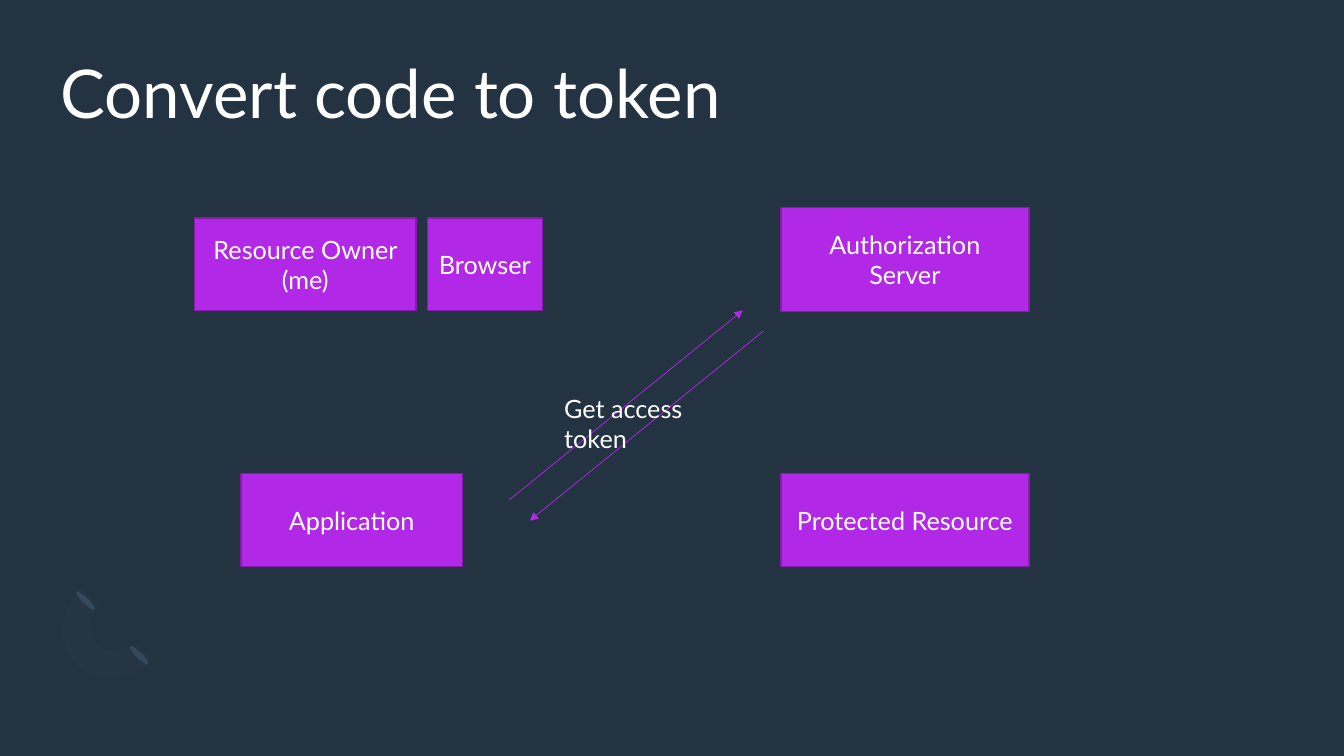
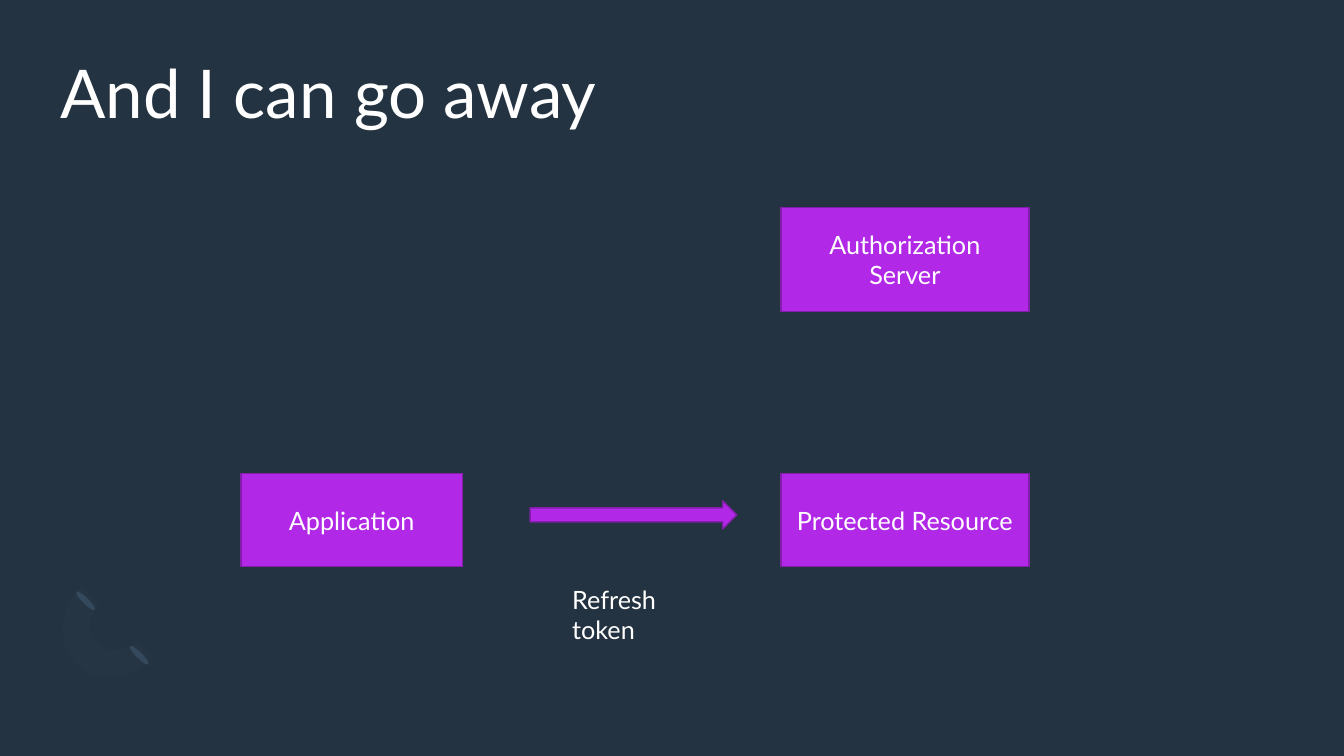
from dataclasses import dataclass

from lxml import etree
from pptx import Presentation
from pptx import util as u
from pptx.dml.color import RGBColor
from pptx.enum import shapes, text
from pptx.oxml.ns import qn

Cm, Pt = u.Cm, u.Pt


@dataclass(frozen=True)
class Theme:
    font: str = "Lato"
    title_size: int = 48
    body_size: int = 18
    back: str = "243341"
    ink: str = "FFFFFF"
    accent: str = "B129E7"
    edge: str = "831EAB"
    petal: str = "33485B"
    ring: str = "7B9AB6"
    ring_alpha: int = 2  # percent


THEME = Theme()
SHAPE = shapes.MSO_SHAPE
TITLE_BOX = (1.52, 1.52, 30.81, 3.71)

# The parties of the flow: label and box in cm
APPLICATION = ("Application", (6.07, 11.94, 5.59, 2.34))
OWNER = ("Resource Owner (me)", (4.9, 5.49, 5.59, 2.34))
AUTH_SERVER = ("Authorization Server", (19.68, 5.23, 6.25, 2.62))
RESOURCE = ("Protected Resource", (19.68, 11.94, 6.25, 2.34))
BROWSER = ("Browser", (10.77, 5.49, 2.9, 2.34))


def lengths(*values):
    return [Cm(value) for value in values]


def colour(value):
    return RGBColor.from_string(value)


def write(frame, words, size, align=text.PP_ALIGN.LEFT):
    frame.text = words
    frame.word_wrap = True
    frame.auto_size = text.MSO_AUTO_SIZE.NONE
    para = frame.paragraphs[0]
    para.alignment = align
    for span in para.runs:
        span.font.name = THEME.font
        span.font.size = Pt(size)
        span.font.color.rgb = colour(THEME.ink)
    return para


def paint(shape, fill, edge=None):
    shape.shadow.inherit = False
    shape.fill.solid()
    shape.fill.fore_color.rgb = colour(fill)
    if edge:
        shape.line.color.rgb = colour(edge)
        shape.line.width = Pt(1)
    else:
        shape.line.fill.background()


# Shared corner ornament and background
def curve(start, first, second, end, steps=12):
    for step in range(1, steps + 1):
        t = step / steps
        weights = ((1 - t) ** 3, 3 * t * (1 - t) ** 2, 3 * t * t * (1 - t), t ** 3)
        yield tuple(
            Cm(sum(w * point[axis] for w, point in zip(weights, (start, first, second, end))))
            for axis in (0, 1))


def add_ornament(page, left, top):
    group = page.shapes.add_group_shape()
    for x, y in ((left + 2.01, top + 1.4), (left + 0.66, top + 0.03)):
        petal = group.shapes.add_shape(SHAPE.OVAL, *lengths(x, y, 0.15, 0.66))
        petal.rotation = 135
        paint(petal, THEME.petal)

    # Half ring: each entry is the end of a line or the three points of a curve
    start = (0.51, 1.96)
    outline = (
        ((0, 1.45), (0.05, 0.59), (0.64, 0)),
        ((1.09, 0.46),),
        ((0.79, 0.74), (0.76, 1.2), (1.02, 1.43)),
        ((1.27, 1.68), (1.7, 1.65), (2.01, 1.37)),
        ((2.44, 1.83),),
        ((1.88, 2.39), (0.99, 2.47), start),
    )
    place = lambda point: (left + point[0], top + point[1])
    here = place(start)
    pen = group.shapes.build_freeform(*lengths(*here), scale=1.0)
    for piece in outline:
        points = [place(point) for point in piece]
        vertices = [lengths(*points[0])] if len(points) == 1 else curve(here, *points)
        pen.add_line_segments(list(vertices), close=False)
        here = points[-1]
    ring = pen.convert_to_shape()
    paint(ring, THEME.ring)
    tint = ring.element.spPr.find(qn("a:solidFill")).find(qn("a:srgbClr"))
    etree.SubElement(tint, qn("a:alpha")).set("val", str(THEME.ring_alpha * 1000))
    return group


def dress_master(deck, page):
    master = deck.slide_master
    master.background.fill.solid()
    master.background.fill.fore_color.rgb = colour(THEME.back)
    ornament = add_ornament(page, 1.42, 14.78).element
    for number, props in enumerate(ornament.iter(qn("p:cNvPr")), 100):
        props.set("id", str(number))
    master.shapes.element.append(ornament)


# Parts of the flow
def add_title(page, words, box):
    title = page.shapes.title
    title.left, title.top, title.width, title.height = lengths(*box)
    frame = title.text_frame
    frame.margin_left = frame.margin_right = frame.margin_top = frame.margin_bottom = 0
    frame.vertical_anchor = text.MSO_ANCHOR.TOP
    write(frame, words, THEME.title_size).line_spacing = 0.9


def add_parties(page, parties):
    group = page.shapes.add_group_shape()
    for name, box in parties:
        party = group.shapes.add_shape(SHAPE.RECTANGLE, *lengths(*box))
        paint(party, THEME.accent, THEME.edge)
        party.text_frame.vertical_anchor = text.MSO_ANCHOR.MIDDLE
        write(party.text_frame, name, THEME.body_size, text.PP_ALIGN.CENTER)


def add_label(page, words, box):
    label = page.shapes.add_textbox(*lengths(*box))
    write(label.text_frame, words, THEME.body_size)


def add_arrow_line(page, start, end):
    arrow = page.shapes.add_connector(
        shapes.MSO_CONNECTOR.STRAIGHT, *lengths(*start, *end))
    arrow.line.color.rgb = colour(THEME.accent)
    arrow.line.width = Pt(0.5)
    etree.SubElement(arrow.line._get_or_add_ln(), qn("a:tailEnd")).set("type", "triangle")
    etree.SubElement(arrow.element.spPr, qn("a:effectLst"))


def add_exchange(page, box, gap):
    """Draw a request rising across the box and the answer, moved by gap, coming back."""
    left, top, width, height = box
    add_arrow_line(page, (left, top + height), (left + width, top))
    add_arrow_line(page, (left + width + gap, top + gap), (left + gap, top + height + gap))


def add_block_arrow(page, box):
    arrow = page.shapes.add_shape(SHAPE.RIGHT_ARROW, *lengths(*box))
    paint(arrow, THEME.accent, THEME.edge)


# Slides
def add_flow_page(deck, title, parties):
    page = deck.slides.add_slide(deck.slide_layouts.get_by_name("Title Only"))
    add_title(page, title, TITLE_BOX)
    add_parties(page, parties)
    return page


def main():
    deck = Presentation()
    deck.slide_width, deck.slide_height = lengths(33.87, 19.05)

    convert = add_flow_page(deck, "Convert code to token",
                            (APPLICATION, OWNER, AUTH_SERVER, RESOURCE, BROWSER))
    dress_master(deck, convert)
    add_exchange(convert, (12.83, 7.82, 5.89, 4.78), 0.52)
    add_label(convert, "Get access token", (13.97, 9.78, 4.98, 1.02))

    refresh = add_flow_page(deck, "And I can go away",
                            (APPLICATION, AUTH_SERVER, RESOURCE))
    add_block_arrow(refresh, (13.36, 12.62, 5.21, 0.71))
    add_label(refresh, "Refresh token", (14.17, 14.6, 4.14, 1.02))

    deck.save("out.pptx")


main()
